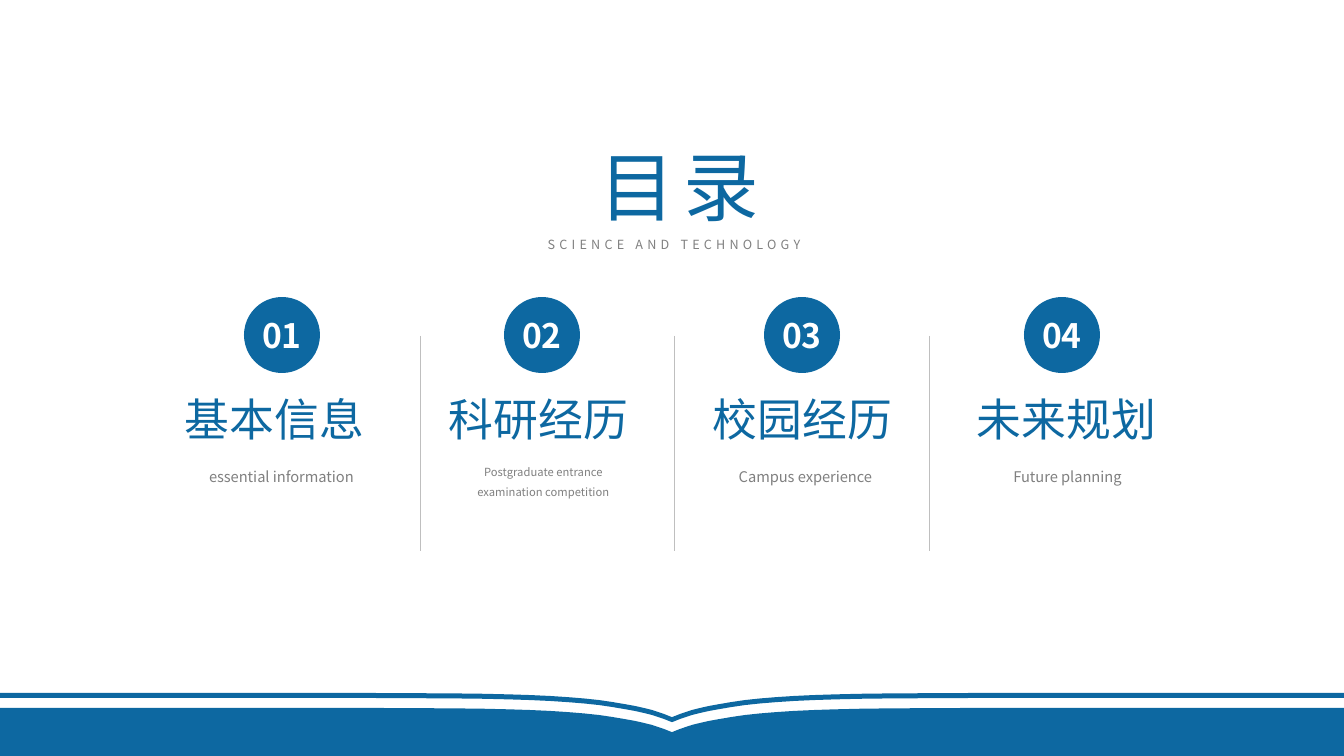
from dataclasses import dataclass

from lxml.etree import SubElement
from pptx import Presentation
from pptx.dml.color import RGBColor
from pptx.enum.shapes import MSO_CONNECTOR as CONN, MSO_SHAPE as SHAPE
from pptx.enum.text import MSO_ANCHOR as ANCHOR, MSO_AUTO_SIZE as FIT, PP_ALIGN as ALIGN
from pptx.oxml.ns import qn
from pptx.util import Emu, Pt

PX = 914400 / 100.8
WIDTH, HEIGHT = 1344, 756
SPINE = WIDTH // 2
FONT = "Noto Sans CJK SC"
BLUE, GREY, RULE, WHITE = "0D68A1", "808080", "BFBFBF", "FFFFFF"

# Book page edge: distance from the spine, depth below the flat part
PAGE_EDGE = [
    (0, 24.2), (8, 21), (14, 19), (20, 17), (28, 15), (37, 13), (48, 11),
    (60, 9), (73, 7.1), (88, 5.5), (104, 4.2), (122, 3), (142, 2.1),
    (163, 1.4), (188, 0.8), (220, 0.4), (300, 0), (SPINE, 0),
]


@dataclass
class TextStyle:
    size: float
    color: str
    bold: bool = False
    spacing: int = 0
    line_spacing: float | None = None


@dataclass
class Chapter:
    title: str
    caption: str
    caption_size: float = 10.5
    caption_height: int = 27


CHAPTERS = [
    Chapter("基本信息", "essential information"),
    Chapter("科研经历", "Postgraduate entrance examination competition", 8, 40),
    Chapter("校园经历", "Campus experience"),
    Chapter("未来规划", "Future planning"),
]


def px(n: float) -> Emu:
    return Emu(round(n * PX))


def rgb(color: str) -> RGBColor:
    return RGBColor.from_string(color)


def fill_shape(sp, color: str) -> None:
    sp.shadow.inherit = False
    sp.fill.solid()
    sp.fill.fore_color.rgb = rgb(color)
    sp.line.fill.background()


def write(sp, text: str, style: TextStyle, inset: bool = True, **frame) -> None:
    tf = sp.text_frame
    settings = {"word_wrap": True, **frame}
    if not inset:
        settings |= {f"margin_{side}": 0 for side in ("left", "top", "right", "bottom")}
    for name, value in settings.items():
        setattr(tf, name, value)
    p = tf.paragraphs[0]
    p.alignment = ALIGN.CENTER
    if style.line_spacing:
        p.line_spacing = style.line_spacing
    r = p.add_run()
    r.text = text
    for name, value in {"size": Pt(style.size), "bold": style.bold, "name": FONT}.items():
        setattr(r.font, name, value)
    r.font.color.rgb = rgb(style.color)
    props = r._r.get_or_add_rPr()
    SubElement(props, qn("a:ea")).set("typeface", FONT)
    if style.spacing:
        props.set("spc", str(style.spacing * 100))


def add_text(s, x: int, y: int, w: int, h: int, text: str, style: TextStyle,
             inset: bool = True) -> None:
    box = s.shapes.add_textbox(px(x), px(y), px(w), px(h))
    write(box, text, style, inset, auto_size=FIT.SHAPE_TO_FIT_TEXT)


def page_edge(y: int) -> list[tuple[float, float]]:
    right = [(SPINE + dx, y + depth) for dx, depth in PAGE_EDGE]
    left = [(WIDTH - x, edge_y) for x, edge_y in reversed(right)]
    return left + right[1:]


def add_page(s, points: list[tuple[float, float]]) -> None:
    first, *rest = [(px(x), px(y)) for x, y in points]
    builder = s.shapes.build_freeform(*first, scale=1.0)
    builder.add_line_segments(rest, close=True)
    fill_shape(builder.convert_to_shape(), BLUE)


def add_divider(s, x: int, top: int, bottom: int) -> None:
    line = s.shapes.add_connector(CONN.STRAIGHT, px(x), px(top), px(x), px(bottom))
    line.line.color.rgb = rgb(RULE)
    line.line.width = Pt(0.5)
    SubElement(line._element.spPr, qn("a:effectLst"))


def add_chapter(s, i: int, chapter: Chapter) -> None:
    circle = s.shapes.add_shape(SHAPE.OVAL, px(244 + 260 * i), px(297), px(76), px(76))
    fill_shape(circle, BLUE)
    write(circle, f"{i + 1:02}", TextStyle(24, WHITE, bold=True), inset=False,
          vertical_anchor=ANCHOR.MIDDLE)
    add_text(s, 158 + 264 * i, 387, 233, 65, chapter.title, TextStyle(32, BLUE))
    add_text(s, 199 + 262 * i, 459, 165, chapter.caption_height, chapter.caption,
             TextStyle(chapter.caption_size, GREY, line_spacing=1.5), inset=False)


def main() -> None:
    prs = Presentation()
    prs.slide_width, prs.slide_height = px(WIDTH), px(HEIGHT)
    s = prs.slides.add_slide(prs.slide_layouts[6])

    # Open book along the bottom
    add_page(s, page_edge(693) + page_edge(698)[::-1])
    add_page(s, page_edge(708) + [(WIDTH, HEIGHT), (0, HEIGHT)])

    # Heading
    add_text(s, 528, 232, 292, 25, "SCIENCE AND TECHNOLOGY", TextStyle(9, GREY, spacing=3))
    add_text(s, 582, 135, 194, 102, "目录", TextStyle(54, BLUE, spacing=6))

    # Chapters and the rules between them
    for i, chapter in enumerate(CHAPTERS):
        add_chapter(s, i, chapter)
    for i in range(len(CHAPTERS) - 1):
        add_divider(s, round(420 + 254.5 * i), 336, 551)

    prs.save("out.pptx")


if __name__ == "__main__":
    main()
